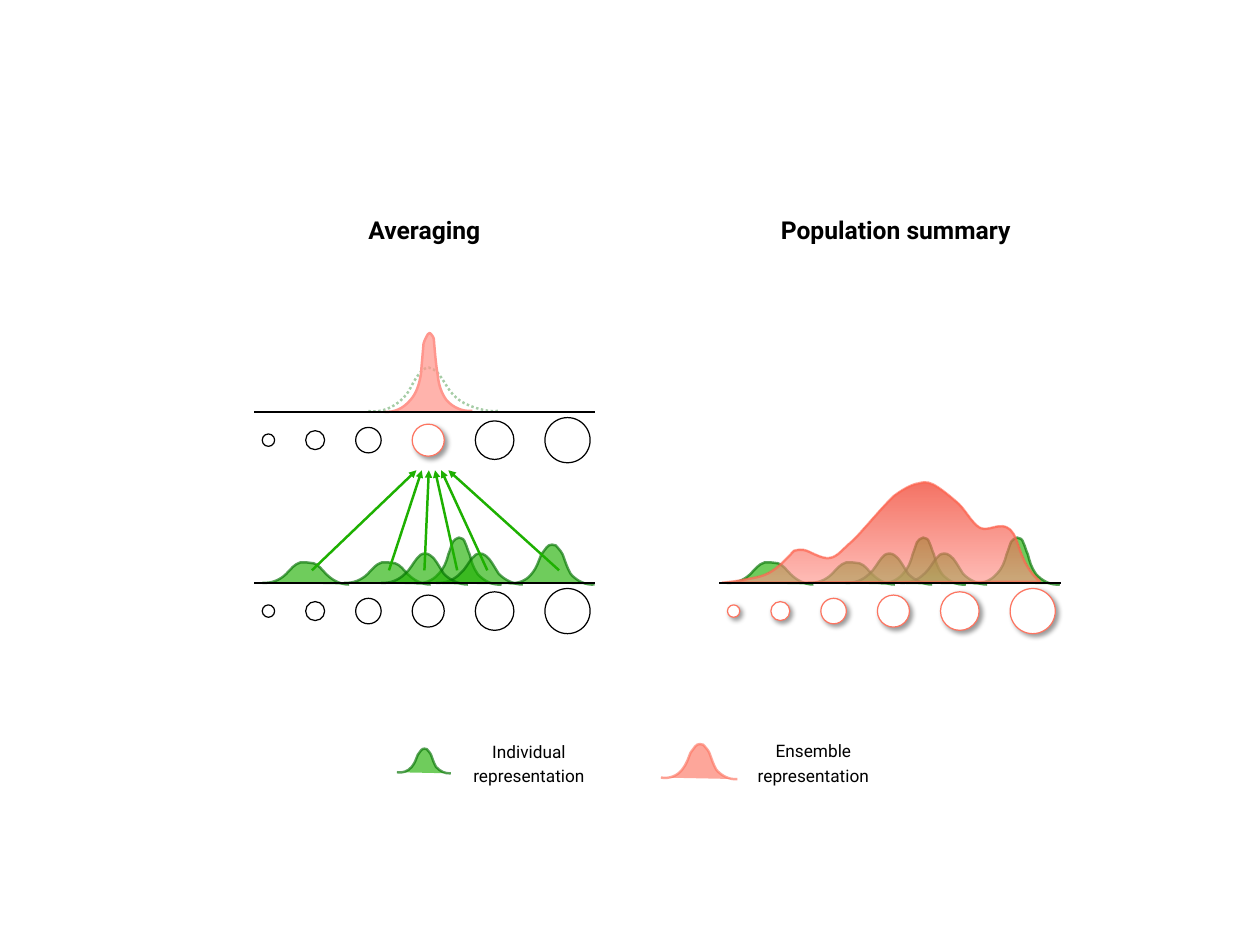
from lxml.etree import SubElement
from pptx import Presentation
from pptx.dml.color import RGBColor
from pptx.enum.dml import MSO_LINE
from pptx.enum.shapes import MSO_CONNECTOR, MSO_SHAPE
from pptx.enum.text import MSO_ANCHOR, MSO_AUTO_SIZE, PP_ALIGN
from pptx.oxml.ns import qn
from pptx.util import Inches, Pt

BLACK = RGBColor(0x00, 0x00, 0x00)
WHITE = RGBColor(0xFF, 0xFF, 0xFF)
GREEN = RGBColor(0x1E, 0xB0, 0x01)
DARK_GREEN = RGBColor(0x02, 0x70, 0x01)
CORAL = RGBColor(0xFD, 0x75, 0x61)
PINK = RGBColor(0xFF, 0x96, 0x8D)
RED = RGBColor(0xEE, 0x23, 0x0C)
BRIGHT_RED = RGBColor(0xFF, 0x64, 0x4E)

# The slide is a grid of square cells; a curve is a start point followed by
# cubic Bézier triples, all given in cells.
COLUMNS, ROWS = 1422, 1067

LOW_BELL = [(0, 0), (10, 1), (20, -3), (27, -10), (32, -15), (36, -21), (43, -23),
            (45, -23), (48, -23), (50, -23), (53, -23), (55, -23), (58, -22),
            (64, -20), (67, -15), (72, -10), (79, -3), (88, 2), (98, 2)]
MIDDLE_BELL = [(0, 0), (10, 1), (20, -3), (27, -10), (33, -15), (36, -22), (41, -28),
               (43, -31), (46, -33), (50, -33), (54, -33), (57, -30), (60, -27),
               (64, -22), (67, -16), (71, -10), (78, -3), (88, 2), (98, 2)]
HIGH_BELL = [(0, 0), (10, 2), (21, -2), (27, -10), (33, -17), (35, -25), (38, -32),
             (40, -35), (42, -37), (44, -40), (45, -42), (48, -43), (50, -43),
             (53, -43), (56, -42), (57, -39), (59, -37), (61, -34), (62, -32),
             (65, -24), (67, -17), (71, -10), (78, -2), (88, 3), (98, 2)]
TALL_BELL = [(0, 0), (11, 2), (21, -2), (28, -10), (34, -16), (37, -24), (39, -32),
             (41, -37), (42, -41), (44, -46), (46, -48), (48, -51), (51, -51),
             (54, -51), (57, -49), (58, -45), (60, -41), (61, -36), (63, -32),
             (65, -24), (67, -17), (72, -10), (79, -2), (89, 3), (99, 2)]
AVERAGE_PEAK = [(434, 465), (445, 466), (455, 461), (462, 453), (470, 445), (473, 434),
                (475, 423), (476, 411), (477, 400), (478, 388), (479, 385), (480, 382),
                (482, 379), (482, 378), (483, 377), (485, 376), (486, 377), (487, 377),
                (487, 378), (490, 381), (490, 385), (490, 388), (491, 400), (492, 412),
                (494, 424), (495, 434), (498, 444), (504, 452), (511, 460), (522, 465),
                (533, 464)]
DOTTED_BELL = [(562, 464), (551, 465), (540, 462), (530, 458), (522, 455), (515, 450),
               (510, 444), (504, 437), (500, 428), (494, 421), (491, 418), (488, 416),
               (484, 415), (480, 415), (476, 418), (474, 421), (467, 429), (464, 438),
               (459, 445), (448, 459), (431, 467), (414, 464)]
POPULATION_HILL = [(815, 658), (825, 657), (834, 656), (843, 654), (853, 652), (862, 651),
                   (871, 645), (880, 640), (895, 623), (896, 622), (897, 622), (901, 620),
                   (907, 621), (914, 622), (927, 632), (937, 630), (946, 628), (950, 621),
                   (963, 610), (975, 598), (997, 571), (1009, 560), (1022, 550), (1033, 546),
                   (1036, 546), (1039, 545), (1046, 543), (1053, 547), (1061, 551),
                   (1073, 561), (1082, 569), (1091, 578), (1097, 591), (1106, 596),
                   (1116, 601), (1129, 588), (1140, 598), (1151, 608), (1149, 635),
                   (1174, 657)]

BELL_LEFTS = (296, 388, 467, 573, 492, 430)
AVERAGING_BELLS = (LOW_BELL, LOW_BELL, TALL_BELL, HIGH_BELL, MIDDLE_BELL, MIDDLE_BELL)
POPULATION_BELLS = (LOW_BELL, LOW_BELL, TALL_BELL, TALL_BELL, MIDDLE_BELL, MIDDLE_BELL)
POPULATION_SHIFT = 524
BASELINE = 658
ARROWS = ((631, 506), (550, 498), (516, 491), (479, 484), (439, 476), (352, 470))


def bend(outline):
    """Turn every three straight segments into one cubic Bézier segment."""
    path = next(outline._element.spPr.iter(qn("a:path")))
    segments = path.findall(qn("a:lnTo"))
    for first in range(0, len(segments), 3):
        bezier = SubElement(path, qn("a:cubicBezTo"))
        segments[first].addprevious(bezier)
        for segment in segments[first:first + 3]:
            bezier.append(segment[0])
            path.remove(segment)


def fade(element, percent):
    for colour in element.iter(qn("a:srgbClr")):
        SubElement(colour, qn("a:alpha"), val=str(percent * 1000))


class Diagram:
    font = "Roboto"

    def __init__(self, slide, width):
        self.shapes = slide.shapes
        self.cell = width / COLUMNS

    def cells(self, *counts):
        return [round(count * self.cell) for count in counts]

    def caption(self, lines, left, top, width, height, size, bold=False):
        frame = self.shapes.add_textbox(*self.cells(left, top, width, height)).text_frame
        frame.word_wrap = True
        frame.auto_size = MSO_AUTO_SIZE.SHAPE_TO_FIT_TEXT
        frame.vertical_anchor = MSO_ANCHOR.MIDDLE
        frame.margin_left = frame.margin_right = frame.margin_top = frame.margin_bottom = Pt(3)
        frame.text = lines
        for paragraph in frame.paragraphs:
            paragraph.alignment = PP_ALIGN.CENTER
            paragraph.line_spacing = 1.2
            font = paragraph.runs[0].font
            font.name, font.size, font.bold = self.font, Pt(size), bold
            font.color.rgb = BLACK

    def curve(self, curve, fill, line, left=0, base=0, scale=1,
              fill_alpha=64, line_alpha=64, closed=False, dash=None):
        """Draw a curve; fill is None, one colour, or a (top, bottom) pair."""
        points = [self.cells(left + x * scale, base + y * scale) for x, y in curve]
        builder = self.shapes.build_freeform(*points[0])
        builder.add_line_segments(points[1:], close=closed)
        outline = builder.convert_to_shape()
        bend(outline)
        outline.shadow.inherit = False
        if fill is None:
            outline.fill.background()
        elif isinstance(fill, RGBColor):
            outline.fill.solid()
            outline.fill.fore_color.rgb = fill
        else:
            outline.fill.gradient()
            outline.fill.gradient_angle = 270
            for stop, colour in zip(outline.fill.gradient_stops, fill):
                stop.color.rgb = colour
        fade(outline._element.spPr, fill_alpha)
        outline.line.color.rgb = line
        outline.line.width = Pt(2)
        if dash:
            outline.line.dash_style = dash
        fade(outline._element.spPr.find(qn("a:ln")), line_alpha)

    def line(self, x1, y1, x2, y2, colour, arrow=False):
        ends = self.cells(x1, y1, x2, y2)
        connector = self.shapes.add_connector(MSO_CONNECTOR.STRAIGHT, *ends)
        connector.line.color.rgb = colour
        connector.line.width = Pt(2)
        properties = connector._element.spPr
        if arrow:
            SubElement(properties.find(qn("a:ln")), qn("a:tailEnd"), type="triangle")
        SubElement(properties, qn("a:effectLst"))

    def circle(self, left, top, diameter, highlighted):
        disc = self.shapes.add_shape(
            MSO_SHAPE.OVAL, *self.cells(left, top, diameter, diameter))
        disc.fill.solid()
        disc.fill.fore_color.rgb = WHITE
        disc.line.color.rgb = CORAL if highlighted else BLACK
        disc.line.width = Pt(1)
        disc.shadow.inherit = False
        if highlighted:
            shadow = SubElement(disc._element.spPr.find(qn("a:effectLst")), qn("a:outerShdw"),
                                blurRad=str(Pt(4)), dist=str(Pt(3)),
                                dir=str(45 * 60000), rotWithShape="0")
            SubElement(shadow, qn("a:srgbClr"), val=str(BLACK))
            fade(shadow, 40)

    def size_axis(self, left, base, highlighted=()):
        """Draw an axis with six growing circles, evenly spaced, below it."""
        self.line(left, base, left + 385, base, BLACK)
        circle_left = left + 9
        for index in range(6):
            diameter = 14 + 7.4 * index
            self.circle(circle_left, base + 32 - diameter / 2, diameter, index in highlighted)
            circle_left += diameter + 35


def main():
    deck = Presentation()
    deck.slide_width, deck.slide_height = Inches(COLUMNS / 100), Inches(ROWS / 100)
    diagram = Diagram(deck.slides.add_slide(deck.slide_layouts[6]), deck.slide_width)

    diagram.caption("Individual\nrepresentation", 469, 828, 256, 64, 14)
    diagram.caption("Ensemble\nrepresentation", 790, 827, 256, 64, 14)
    diagram.curve(HIGH_BELL, GREEN, DARK_GREEN, 448, 872, 0.62)
    diagram.curve(HIGH_BELL, CORAL, CORAL, 746, 878, 0.88)

    for left, bell in zip(BELL_LEFTS, AVERAGING_BELLS):
        diagram.curve(bell, GREEN, DARK_GREEN, left, BASELINE)
    for start, end in ARROWS:
        diagram.line(start, 644, end, 531, GREEN, arrow=True)
    diagram.curve(DOTTED_BELL, None, DARK_GREEN, line_alpha=34, dash=MSO_LINE.ROUND_DOT)
    diagram.curve(AVERAGE_PEAK, PINK, PINK, fill_alpha=72, line_alpha=100)
    diagram.size_axis(287, 465, highlighted=(3,))
    diagram.size_axis(287, BASELINE)

    for left, bell in zip(BELL_LEFTS, POPULATION_BELLS):
        diagram.curve(bell, GREEN, DARK_GREEN, left + POPULATION_SHIFT, BASELINE)
    diagram.curve(POPULATION_HILL, (RED, PINK), BRIGHT_RED, closed=True)
    diagram.size_axis(812, BASELINE, highlighted=range(6))

    diagram.caption("Averaging", 286, 233, 386, 47, 20, bold=True)
    diagram.caption("Population summary", 818, 233, 386, 47, 20, bold=True)
    deck.save("out.pptx")


if __name__ == "__main__":
    main()
